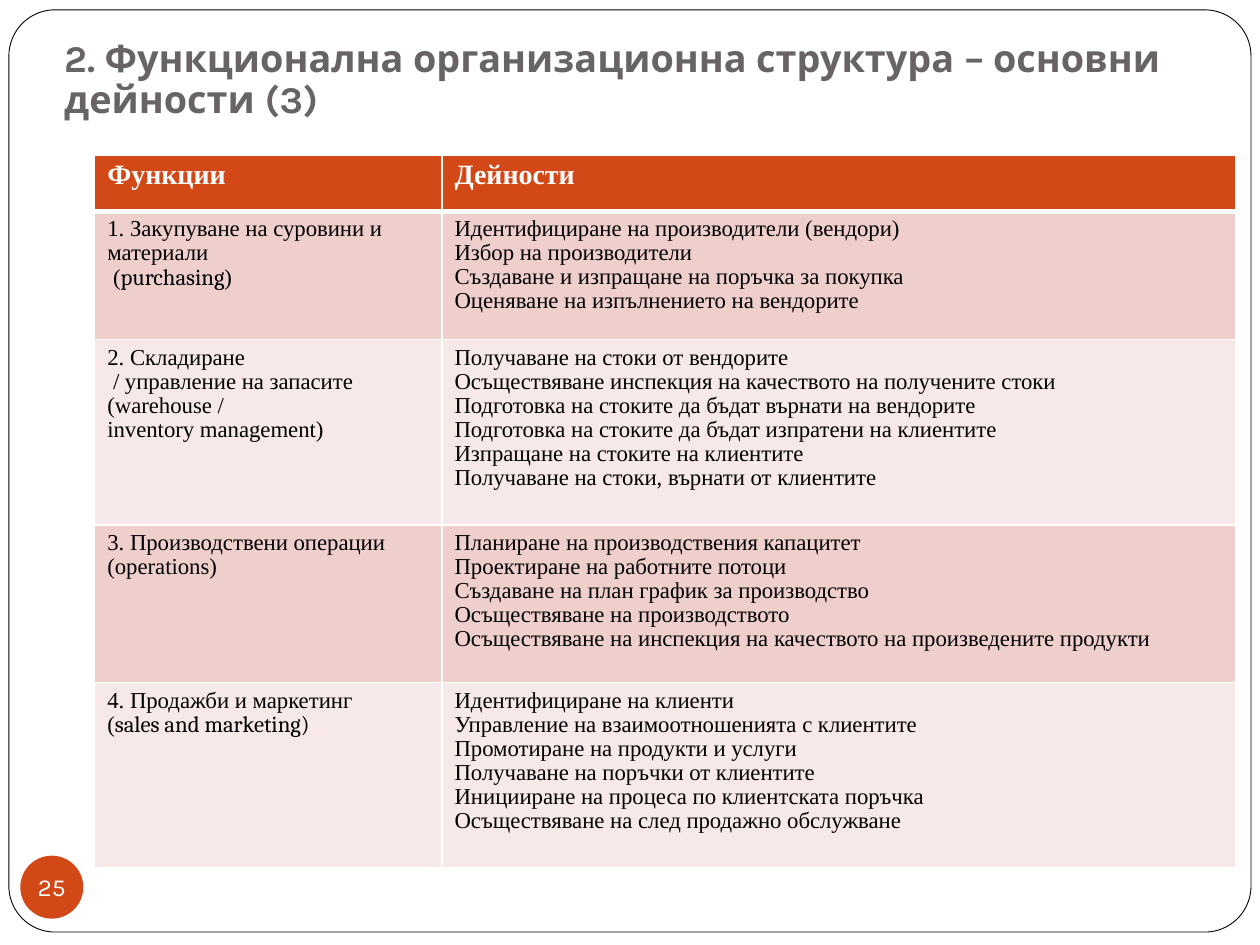
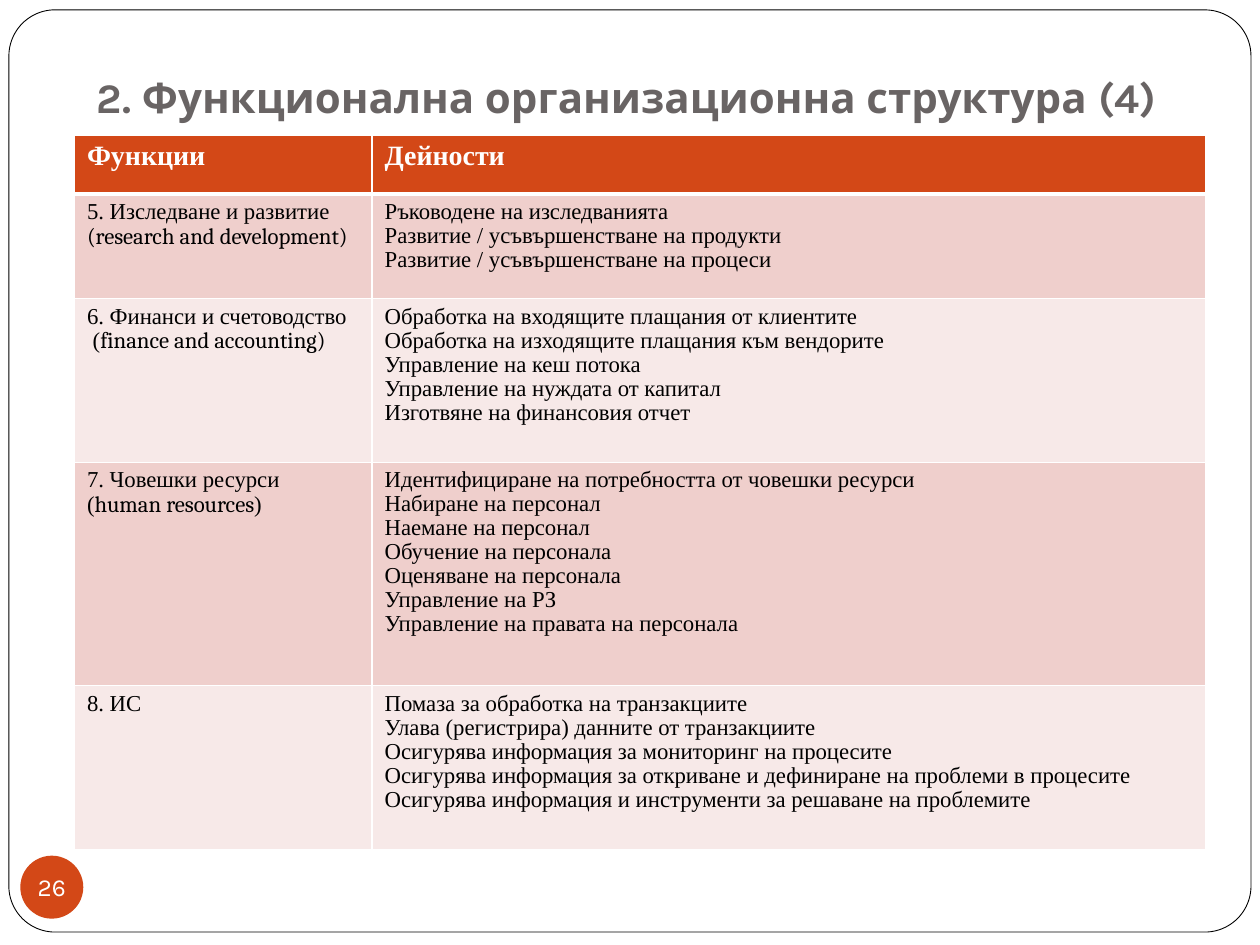
from lxml import etree
from pptx import Presentation
from pptx.dml.color import RGBColor
from pptx.enum.shapes import MSO_SHAPE
from pptx.enum.text import MSO_ANCHOR, MSO_AUTO_SIZE, PP_ALIGN
from pptx.oxml.ns import qn
from pptx.util import Cm, Pt

FRAME, DISC = MSO_SHAPE.ROUNDED_RECTANGLE, MSO_SHAPE.OVAL
LEFT, CENTER = PP_ALIGN.LEFT, PP_ALIGN.CENTER
MIDDLE, BOTTOM = MSO_ANCHOR.MIDDLE, MSO_ANCHOR.BOTTOM
NO_FIT = MSO_AUTO_SIZE.NONE

WHITE, BLACK, GREY = "FFFFFF", "000000", "696464"
ACCENT, BANDS = "D34817", ("EFCFCC", "F7E9E8")
SANS, SERIF, LATIN = "Karla", "Times New Roman", "Cambria"
TITLE_ONLY = 5
HEADS = ("Функции", "Дейности")

# In a function's name, "|" switches between the serif and the Latin font.
BUYING = [
    ("1. Закупуване на суровини и материали\n (|purchasing|)",
     ["Идентифициране на производители (вендори)",
      "Избор на производители",
      "Създаване и изпращане на поръчка за покупка",
      "Оценяване на изпълнението на вендорите"]),
    ("2. Складиране\n / управление на запасите \n(warehouse / \ninventory management)",
     ["Получаване на стоки от вендорите",
      "Осъществяване инспекция на качеството на получените стоки",
      "Подготовка на стоките да бъдат върнати на вендорите",
      "Подготовка на стоките да бъдат изпратени на клиентите",
      "Изпращане на стоките на клиентите",
      "Получаване на стоки, върнати от клиентите"]),
    ("3. Производствени операции (operations)",
     ["Планиране на производствения капацитет",
      "Проектиране на работните потоци",
      "Създаване на план график за производство",
      "Осъществяване на производството",
      "Осъществяване на инспекция на качеството на произведените продукти"]),
    ("4. Продажби и маркетинг \n(|sales and marketing)",
     ["Идентифициране на клиенти",
      "Управление на взаимоотношенията с клиентите",
      "Промотиране на продукти и услуги",
      "Получаване на поръчки от клиентите",
      "Иницииране на процеса по клиентската поръчка",
      "Осъществяване на след продажно обслужване"]),
]
SUPPORT = [
    ("5. Изследване и развитие \n|(research and development)",
     ["Ръководене на изследванията",
      "Развитие / усъвършенстване на продукти",
      "Развитие / усъвършенстване на процеси"]),
    ("6. Финанси и счетоводство\n (|finance and accounting)",
     ["Обработка на входящите плащания от клиентите",
      "Обработка на изходящите плащания към вендорите",
      "Управление на кеш потока",
      "Управление на нуждата от капитал",
      "Изготвяне на финансовия отчет"]),
    ("7. Човешки ресурси \n(|human resources|)",
     ["Идентифициране на потребността от човешки ресурси",
      "Набиране на персонал",
      "Наемане на персонал",
      "Обучение на персонала",
      "Оценяване на персонала",
      "Управление на РЗ",
      "Управление на правата на персонала"]),
    ("8. ИС",
     ["Помаза за обработка на транзакциите",
      "Улава (регистрира) данните от транзакциите",
      "Осигурява информация за мониторинг на процесите",
      "Осигурява информация за откриване и дефиниране на проблеми в процесите",
      "Осигурява информация и инструменти за решаване на проблемите"]),
]


def rgb(code):
    return RGBColor.from_string(code)


def style(run, size, face, color, bold=False):
    font = run.font
    font.size, font.name, font.bold = Pt(size), face, bold
    font.color.rgb = rgb(color)


def edge(cell, top, base):
    """Draw white cell borders; top and base are widths in points."""
    props = cell._tc.get_or_add_tcPr()
    for side, width in zip("LRTB", (1, 1, top, base)):
        line = etree.SubElement(props, qn(f"a:ln{side}"), w=str(Pt(width)))
        fill = etree.SubElement(line, qn("a:solidFill"))
        etree.SubElement(fill, qn("a:srgbClr"), val=WHITE)


class Deck:
    def __init__(self):
        self.prs = Presentation()
        self.prs.slide_width, self.prs.slide_height = Cm(25.4), Cm(19.05)

    def page(self, number):
        """Start a slide with its frame and number disc."""
        layout = self.prs.slide_layouts[TITLE_ONLY]
        self.slide = self.prs.slides.add_slide(layout)
        frame = self.shape(FRAME, (0.18, 0.2, 25.04, 18.59), WHITE)
        frame.adjustments[0] = 0.05
        frame.line.color.rgb = rgb(BLACK)
        frame.line.width = Pt(0.5)
        disc = self.shape(DISC, (0.41, 17.25, 1.27, 1.27), ACCENT)
        disc.line.fill.background()
        text = disc.text_frame
        text.margin_left = text.margin_right = 0
        text.margin_top = text.margin_bottom = 0
        text.word_wrap, text.vertical_anchor = False, MIDDLE
        text.text = str(number)
        text.paragraphs[0].alignment = CENTER
        style(text.paragraphs[0].runs[0], 14, SANS, WHITE)

    def shape(self, kind, box, fill):
        item = self.slide.shapes.add_shape(kind, *map(Cm, box))
        item.shadow.inherit = False
        item.fill.solid()
        item.fill.fore_color.rgb = rgb(fill)
        return item

    def title(self, words, box, size):
        item = self.slide.shapes.title
        item.left, item.top, item.width, item.height = map(Cm, box)
        item.element.getparent().append(item.element)  # bring to front
        text = item.text_frame
        text.text = words
        text.auto_size, text.vertical_anchor = NO_FIT, BOTTOM
        text.margin_bottom = Cm(0.25)
        line = text.paragraphs[0]
        line.alignment, line.line_spacing = LEFT, 0.9
        style(line.runs[0], size, SANS, GREY, True)

    def table(self, items, spot, cols, rows):
        size = (sum(cols), sum(rows))
        grid = self.slide.shapes.add_table(
            len(rows), len(cols), *map(Cm, spot + size)).table
        for col, width in zip(grid.columns, cols):
            col.width = Cm(width)
        for row, height in zip(grid.rows, rows):
            row.height = Cm(height)
        for cell, head in zip(grid.rows[0].cells, HEADS):
            self.cell(cell, [head], ACCENT, 1, 3, (16, WHITE, True))
        for i, (name, tasks) in enumerate(items):
            for cell, lines in zip(grid.rows[i + 1].cells, ([name], tasks)):
                self.cell(cell, lines, BANDS[i % 2], 1 if i else 3, 1,
                          (13, BLACK, False))

    def cell(self, cell, lines, fill, top, base, look):
        size, color, bold = look
        edge(cell, top, base)
        cell.fill.solid()
        cell.fill.fore_color.rgb = rgb(fill)
        text = cell.text_frame
        for i, line in enumerate(lines):
            para = text.add_paragraph() if i else text.paragraphs[0]
            para.line_spacing = 0.96
            for j, part in enumerate(line.split("|")):
                for k, words in enumerate(part.split("\n")):
                    if k:
                        para.add_line_break()
                    if words:
                        run = para.add_run()
                        run.text = words
                        style(run, size, LATIN if j % 2 else SERIF, color, bold)


def main():
    deck = Deck()
    deck.page(25)
    deck.table(BUYING, (1.91, 3.12), (7, 16), (1.14, 2.59, 3.73, 3.18, 3.73))
    deck.title("2. Функционална организационна структура – основни дейности (3)",
               (1.04, 0.74, 23.7, 1.96), 21.6)
    deck.page(26)
    deck.table(SUPPORT, (1.5, 2.72), (6, 16.8), (1.19, 2.11, 3.3, 4.5, 3.3))
    deck.title("2. Функционална организационна структура (4)",
               (1.7, 0.76, 22.43, 1.96), 24)
    deck.prs.save("out.pptx")


if __name__ == "__main__":
    main()
